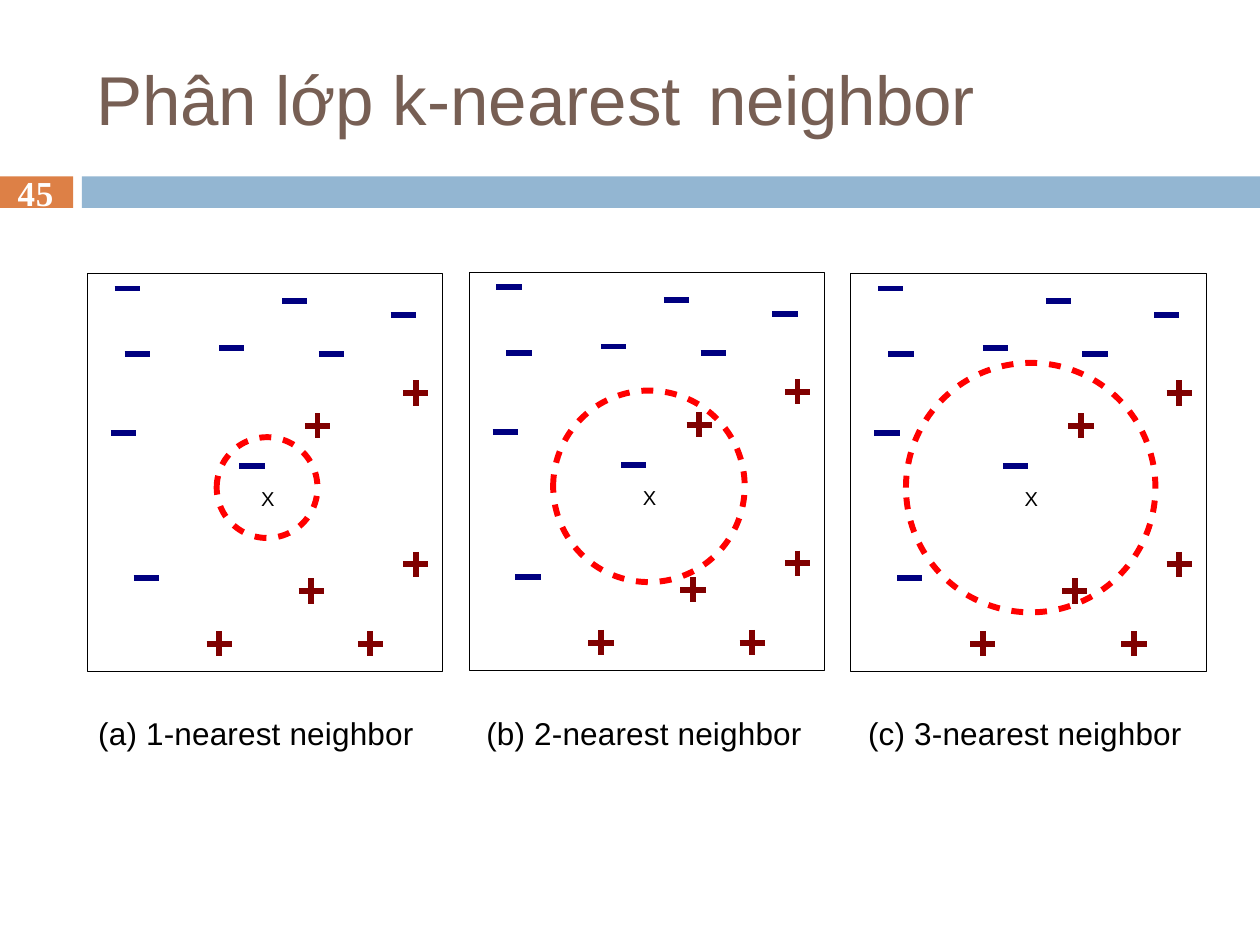
from lxml.etree import SubElement
from pptx import Presentation
from pptx.dml.color import RGBColor
from pptx.enum.shapes import MSO_CONNECTOR, MSO_SHAPE
from pptx.enum.text import MSO_ANCHOR, PP_ALIGN
from pptx.oxml.ns import qn
from pptx.util import Inches, Pt

HUE = {"band": "93B6D2", "badge": "DD8046", "title": "775F54", "minus": "000080",
       "plus": "800000", "ring": "FF0000", "ink": "000000", "page": "FFFFFF"}

# Runs of the title: text and letter spacing in points
TITLE = [("Phân ", -0.3), ("lớp ", -0.1), ("k-nearest", 0), (" ", 4.5), ("neighbor", -0.2)]
# Caption, caption indent, panel top, ring radius
PANELS = [("(a) 1-nearest neighbor", 0.08, 2.17, 0.4),
          ("(b) 2-nearest neighbor", 0.13, 2.16, 0.76),
          ("(c) 3-nearest neighbor", 0.13, 2.17, 0.99)]
# Points inside a panel, from its top left corner
MINUS = [(0.32, 0.12), (1.65, 0.22), (2.51, 0.33), (1.15, 0.59), (0.4, 0.64),
         (1.94, 0.64), (0.29, 1.27), (1.31, 1.53), (0.47, 2.42)]
PLUS = [(2.61, 0.95), (1.83, 1.21), (2.61, 2.31), (1.78, 2.52), (1.05, 2.94), (2.25, 2.94)]
MID = (1.43, 1.7)

LEFT, STEP, WIDE, HIGH = 0.69, 3.03, 2.82, 3.16
ARM, BOLD = 0.1, 3.4

deck = Presentation()
deck.slide_width, deck.slide_height = Inches(10), Inches(7.5)
slide = deck.slides.add_slide(deck.slide_layouts[6])
shapes = slide.shapes


def tint(name):
    return RGBColor.from_string(HUE[name])


def stroke(line, name, width):
    line.color.rgb = tint(name)
    line.width = Pt(width)


def add(kind, x, y, w, h, fill=None):
    shape = shapes.add_shape(kind, Inches(x), Inches(y), Inches(w), Inches(h))
    shape.shadow.inherit = False
    if fill:
        shape.fill.solid()
        shape.fill.fore_color.rgb = tint(fill)
        shape.line.fill.background()
    else:
        shape.fill.background()
    return shape


def write(frame, runs, size, hue, font="Arial", bold=False, top=0.02, left=0.01):
    """Fill a frame with one paragraph of (text, letter spacing) runs."""
    frame.word_wrap = True
    frame.vertical_anchor = MSO_ANCHOR.TOP
    frame.margin_left, frame.margin_top = Inches(left), Inches(top)
    frame.margin_right = frame.margin_bottom = 0
    para = frame.paragraphs[0]
    for text, gap in runs:
        run = para.add_run()
        run.text = text
        run.font.size, run.font.name, run.font.bold = Pt(size), font, bold
        run.font.color.rgb = tint(hue)
        run.font._element.set("spc", str(round(gap * 100)))
    return para


def label(x, y, w, h, *args, **more):
    box = shapes.add_textbox(Inches(x), Inches(y), Inches(w), Inches(h))
    write(box.text_frame, *args, **more).space_before = Pt(1.3)


def ring(x, y, r):
    shape = add(MSO_SHAPE.OVAL, x - r, y - r, 2 * r, 2 * r)
    stroke(shape.line, "ring", BOLD)
    dash = SubElement(shape.line._get_or_add_ln(), qn("a:custDash"))
    SubElement(dash, qn("a:ds"), d="200000", sp="200000")


def minus(x, y):
    line = shapes.add_connector(MSO_CONNECTOR.STRAIGHT, Inches(x - ARM), Inches(y),
                                Inches(x + ARM), Inches(y))
    stroke(line.line, "minus", BOLD)
    SubElement(line._element.spPr, qn("a:effectLst"))


def plus(x, y):
    pen = shapes.build_freeform(Inches(x - ARM), Inches(y))
    pen.add_line_segments([(Inches(x + ARM), Inches(y))], close=False)
    pen.move_to(Inches(x), Inches(y - ARM))
    pen.add_line_segments([(Inches(x), Inches(y + ARM))], close=False)
    shape = pen.convert_to_shape()
    shape.shadow.inherit = False
    shape.fill.background()
    stroke(shape.line, "plus", BOLD)


add(MSO_SHAPE.RECTANGLE, 0, 1.4, 0.58, 0.25, "badge")
add(MSO_SHAPE.RECTANGLE, 0.65, 1.4, 9.35, 0.25, "band")
label(0.76, 0.43, 7.5, 0.69, TITLE, 39.5, "title")
label(0.13, 1.34, 0.4, 0.37, [("45", 0.5)], 20, "page", font="Times New Roman", bold=True)

for col, (text, pad, top, radius) in enumerate(PANELS):
    left = LEFT + col * STEP
    ring(left + MID[0], top + MID[1], radius)
    frame = add(MSO_SHAPE.RECTANGLE, left, top, WIDE, HIGH)
    stroke(frame.line, "ink", 0.25)
    mark = write(frame.text_frame, [("X", 0.1)], 11.5, "ink", top=1.69, left=0.05)
    mark.alignment = PP_ALIGN.CENTER
    for draw, spots in ((minus, MINUS), (plus, PLUS)):
        for x, y in spots:
            draw(left + x, top + y)
    label(left + pad, 5.65, 2.7, 0.33, [(text, 0.1)], 18, "ink")

deck.save("out.pptx")
